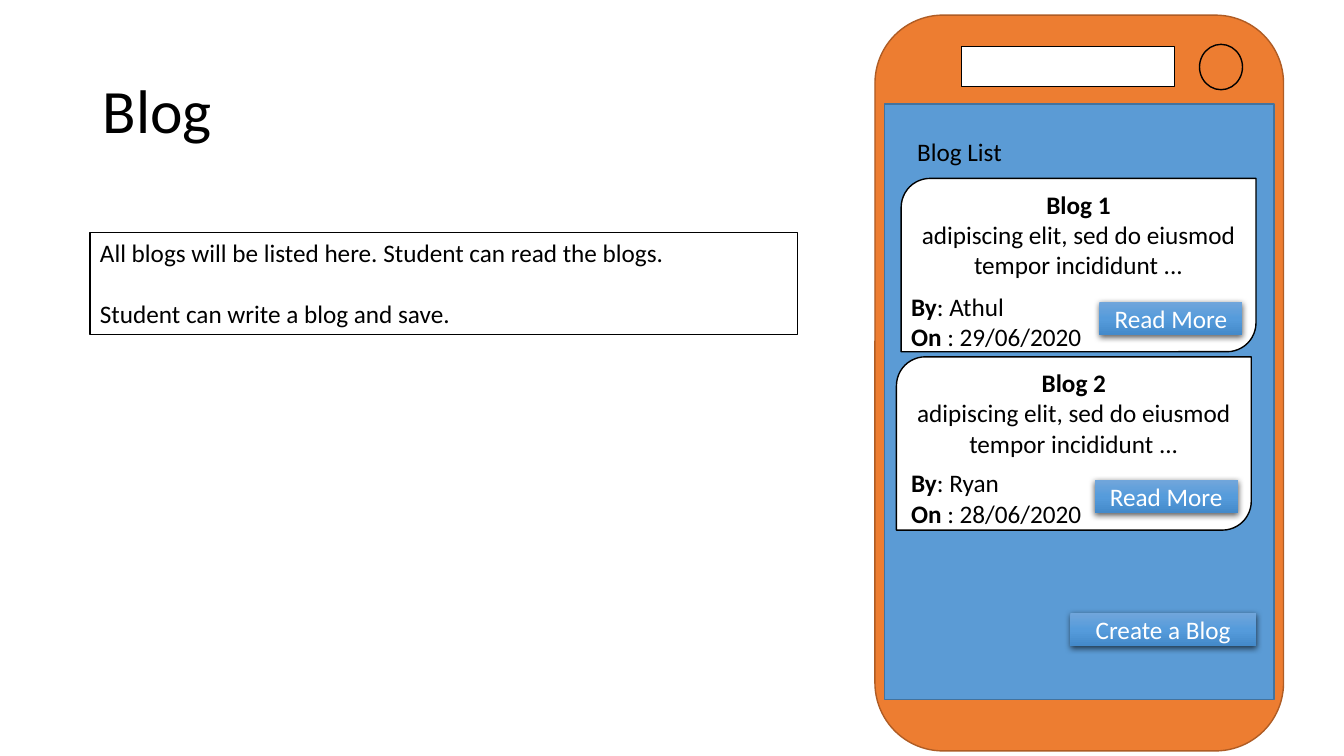
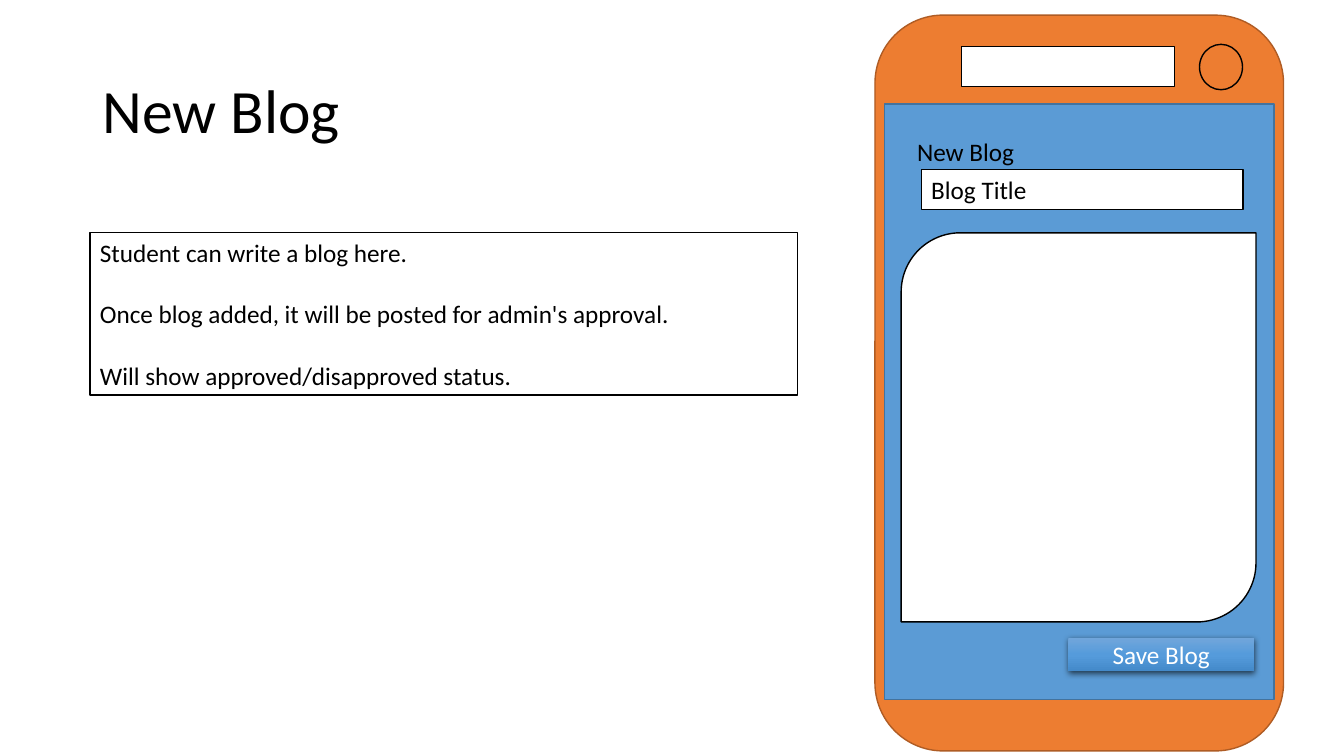
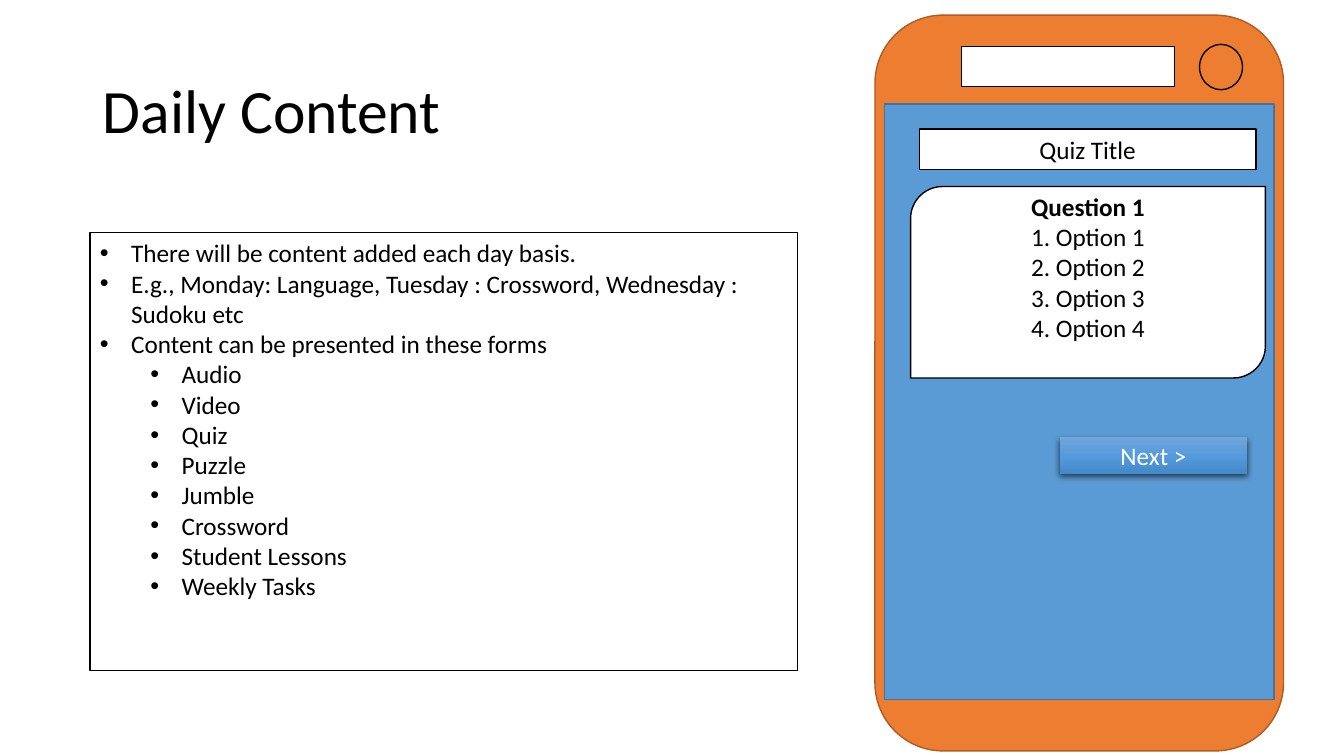
from dataclasses import dataclass
from lxml import etree
from pptx import Presentation
from pptx.dml.color import RGBColor
from pptx.enum.shapes import MSO_SHAPE
from pptx.enum.text import MSO_ANCHOR, MSO_AUTO_SIZE, PP_ALIGN
from pptx.oxml import parse_xml
from pptx.oxml.ns import nsdecls, qn
from pptx.util import Inches, Pt

RECT, ROUND, LEAF, OVAL = (MSO_SHAPE.RECTANGLE, MSO_SHAPE.ROUNDED_RECTANGLE,
                           MSO_SHAPE.ROUND_2_DIAG_RECTANGLE, MSO_SHAPE.OVAL)
TOP, MIDDLE = MSO_ANCHOR.TOP, MSO_ANCHOR.MIDDLE
LEFT, CENTER = PP_ALIGN.LEFT, PP_ALIGN.CENTER
FIXED = MSO_AUTO_SIZE.NONE


@dataclass(frozen=True)
class Theme:
    font: str = "Calibri"
    head: int = 44
    body: int = 18
    line: float = 0.305
    ink: str = "000000"
    paper: str = "FFFFFF"
    case: str = "ED7D31"
    rim: str = "AF5C24"
    screen: str = "5B9BD5"
    edge: str = "43739E"
    shine: tuple = ((0, "71A6DB"), (50, "559BDB"), (100, "448ACA"))


def plain(*lines):
    return [[(line, False)] for line in lines]


class Deck:
    def __init__(self, theme):
        self.theme = theme
        self.file = Presentation()
        self.file.slide_width = Inches(13.33)
        self.file.slide_height = Inches(7.5)
        self.slide = None

    def place(self, x, y, w, h):
        wide, high = self.file.slide_width, self.file.slide_height
        return [round(part * full / 100) for part, full in
                ((x, wide), (y, high), (w, wide), (h, high))]

    def fill_text(self, frame, paras, size=None, color=None, align=LEFT,
                  anchor=TOP, gap=0, levels=None):
        frame.word_wrap = True
        frame.auto_size = FIXED
        frame.vertical_anchor = anchor
        for i, runs in enumerate(paras):
            para = frame.paragraphs[0] if i == 0 else frame.add_paragraph()
            if levels:
                self.bullet(para, levels[i])
            para.alignment = align
            if gap and i:
                para.space_before = Pt(gap)
            for text, bold in runs:
                run = para.add_run()
                run.text = text
                font = run.font
                font.name = self.theme.font
                font.size = Pt(size or self.theme.body)
                font.bold = bold
                font.color.rgb = RGBColor.from_string(color or self.theme.ink)

    def bullet(self, para, level):
        para.level = level
        props = para._p.get_or_add_pPr()
        props.set("marL", str(Inches(0.31 + level * 0.5)))
        props.set("indent", str(Inches(-0.31)))
        etree.SubElement(props, qn("a:buFont")).set("typeface", "Arial")
        etree.SubElement(props, qn("a:buChar")).set("char", "•")

    def title(self, text):
        self.slide = self.file.slides.add_slide(self.file.slide_layouts[5])
        head = self.slide.shapes.title
        head.left, head.top, head.width, head.height = self.place(
            6.9, 5.33, 86.25, 19.33)
        self.fill_text(head.text_frame, plain(text), self.theme.head,
                       anchor=MIDDLE)
        head.text_frame.paragraphs[0].line_spacing = 0.9

    def shape(self, kind, area, fill=None, line=None):
        item = self.slide.shapes.add_shape(kind, *self.place(*area))
        item.shadow.inherit = False
        item.fill.solid()
        item.fill.fore_color.rgb = RGBColor.from_string(fill or self.theme.paper)
        item.line.color.rgb = RGBColor.from_string(line or self.theme.ink)
        item.line.width = Pt(1)
        return item

    def phone(self):
        look = self.theme
        self.shape(ROUND, (65.1, 2, 30.4, 97.33), look.case, look.rim)
        self.shape(RECT, (71.55, 6.13, 15.83, 5.33))
        self.shape(OVAL, (89.25, 5.87, 3.2, 6), look.case)
        self.shape(RECT, (65.8, 13.73, 29, 78.8), look.screen, look.edge)

    def start(self, title):
        self.title(title)
        self.phone()

    def label(self, area, paras):
        item = self.slide.shapes.add_textbox(*self.place(*area))
        self.fill_text(item.text_frame, paras)

    def header(self, text):
        self.label((67.5, 17.33, 18.75, 5.33), plain(text))

    def note(self, high, lines, gap=0, levels=None):
        item = self.shape(RECT, (6.7, 30.8, 52.65, high))
        self.fill_text(item.text_frame, plain(*lines), gap=gap, levels=levels)

    def field(self, area, text, align=LEFT):
        item = self.shape(RECT, area)
        self.fill_text(item.text_frame, plain(text), align=align, anchor=MIDDLE)

    def card(self, area, head, lines, spare):
        item = self.shape(LEAF, area)
        frame = item.text_frame
        frame.margin_bottom = Inches(0.05 + spare * self.theme.line)
        self.fill_text(frame, [[(head, True)], *plain(*lines)],
                       align=CENTER, anchor=MIDDLE)

    def button(self, area, text):
        item = self.shape(RECT, area)
        item.line.fill.background()
        item.fill.gradient()
        item.fill.gradient_angle = 270
        stops = item._element.spPr.find(".//" + qn("a:gsLst"))
        for stop in list(stops):
            stops.remove(stop)
        for spot, color in self.theme.shine:
            stop = etree.SubElement(stops, qn("a:gs"), pos=str(spot * 1000))
            etree.SubElement(stop, qn("a:srgbClr"), val=color)
        glow = item._element.spPr.find(qn("a:effectLst"))
        glow.append(parse_xml(
            f'<a:outerShdw {nsdecls("a")} blurRad="{Pt(4.5)}" dist="{Pt(1.5)}" '
            f'dir="5400000" algn="ctr" rotWithShape="0">'
            f'<a:srgbClr val="{self.theme.ink}"><a:alpha val="63000"/>'
            f'</a:srgbClr></a:outerShdw>'))
        self.fill_text(item.text_frame, plain(text), color=self.theme.paper,
                       align=CENTER, anchor=MIDDLE)


def blog_list(deck):
    deck.start("Blog")
    deck.header("Blog List")
    deck.note(13.47, ["All blogs will be listed here. Student can read the blogs.",
                      "Student can write a blog and save."], gap=22)
    posts = (("Blog 1", "Athul", "29/06/2020", 67.05, 37.87),
             ("Blog 2", "Ryan", "28/06/2020", 66.7, 61.2))
    for i, (head, name, date, x, low) in enumerate(posts, 1):
        y = 23.6 * i
        deck.card((x, y, 26.4, 22.93), head,
                  ["adipiscing elit, sed do eiusmod tempor incididunt ..."], 2)
        deck.button((x + 14.75, y + 16.33, 10.65, 4.4), "Read More")
        deck.label((67.05, low, 14.3, 9.47),
                   [[("By", True), (f": {name}", False)],
                    [("On", True), (f" : {date}", False)]])
    deck.button((79.65, 81.07, 13.8, 4.4), "Create a Blog")


def new_blog(deck):
    deck.start("New Blog")
    deck.header("New Blog")
    deck.shape(LEAF, (67.05, 30.8, 26.4, 51.47))
    deck.note(21.47, ["Student can write a blog here.",
                      "Once blog added, it will be posted for admin's approval.",
                      "Will show approved/disapproved status."], gap=22)
    deck.field((68.55, 22.4, 23.95, 5.33), "Blog Title")
    deck.button((79.5, 84.4, 13.8, 4.4), "Save Blog")


def daily(deck):
    deck.start("Daily Content")
    points = ["There will be content added each day basis.",
              "E.g., Monday: Language, Tuesday : Crossword, Wednesday : Sudoku etc",
              "Content can be presented in these forms"]
    forms = ["Audio", "Video", "Quiz", "Puzzle", "Jumble", "Crossword",
             "Student Lessons", "Weekly Tasks"]
    deck.note(57.87, points + forms,
              levels=[0] * len(points) + [1] * len(forms))
    deck.card((67.75, 24.67, 26.4, 25.33), "Question 1",
              [f"{i}. Option {i}" for i in range(1, 5)], 1)
    deck.button((78.85, 57.87, 13.95, 4.8), "Next >")
    deck.field((68.4, 17.07, 25.05, 5.33), "Quiz Title", CENTER)


def main():
    deck = Deck(Theme())
    for build in (blog_list, new_blog, daily):
        build(deck)
    deck.file.save("out.pptx")


if __name__ == "__main__":
    main()
